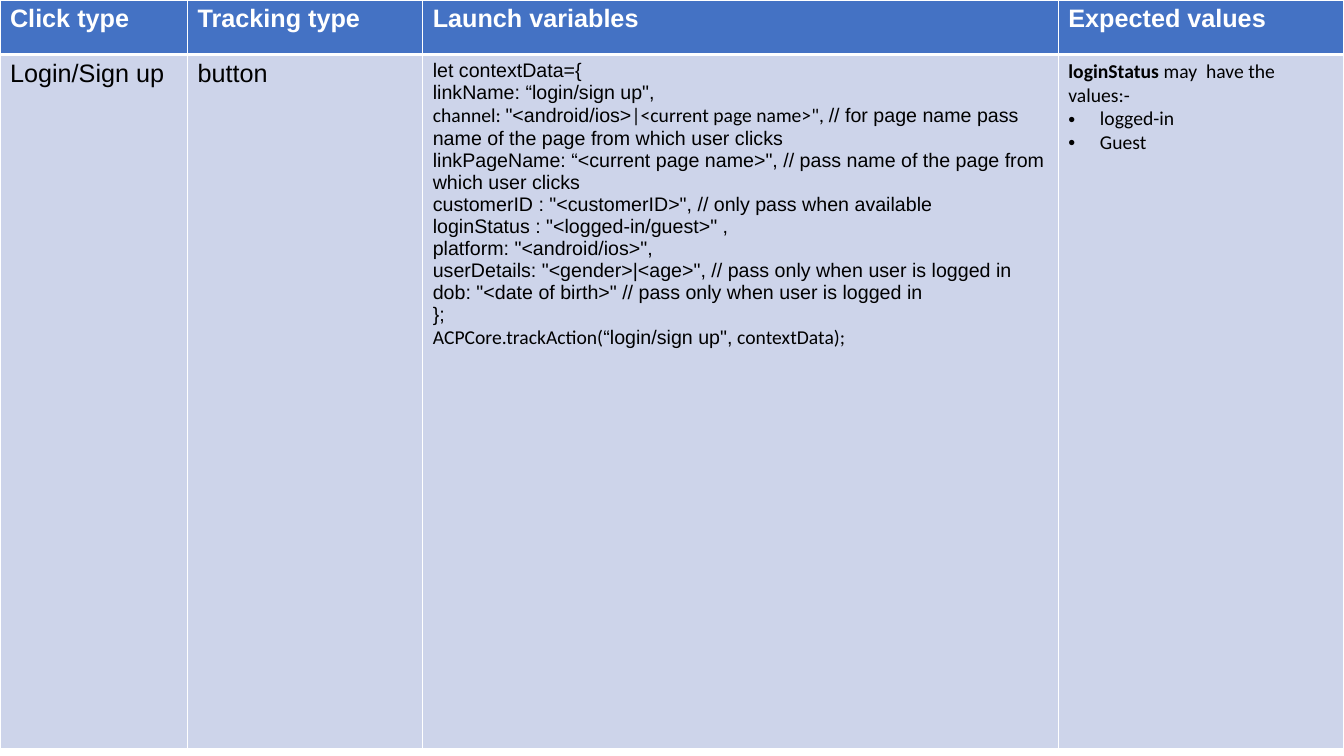
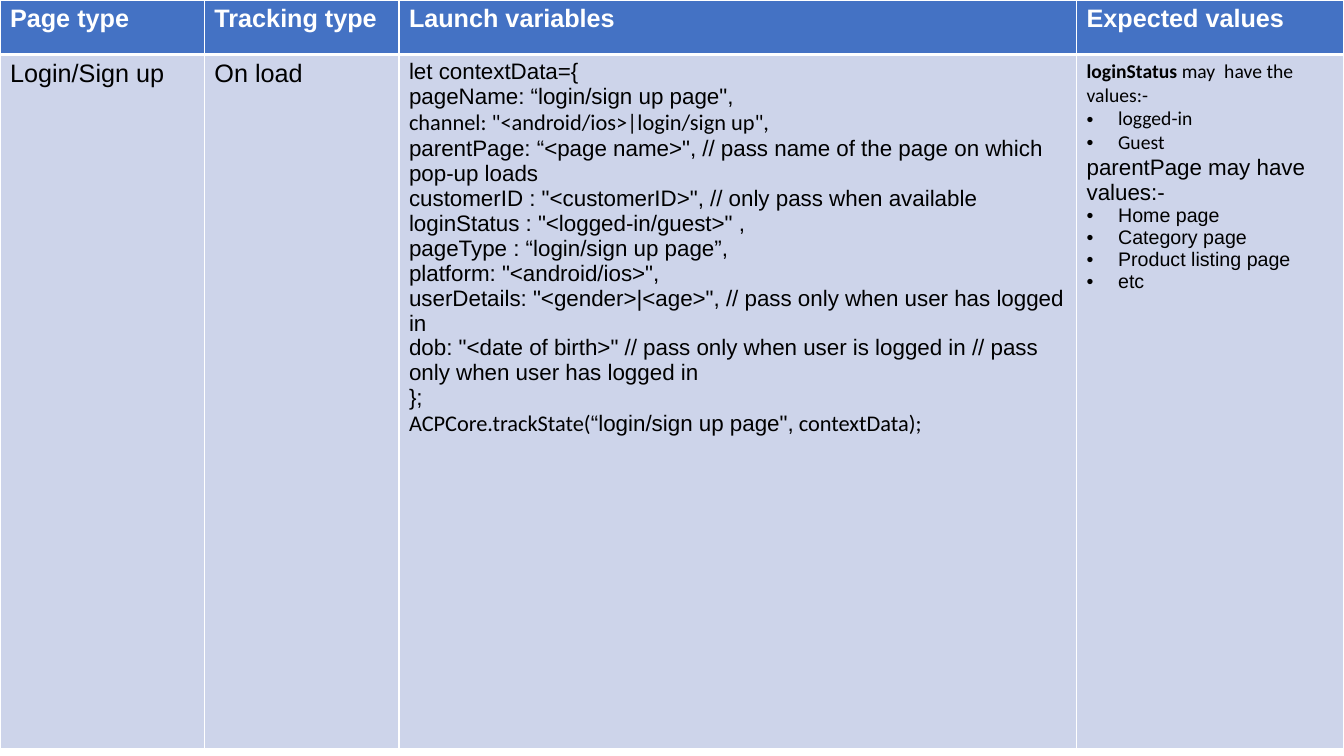
"""Build two slides of tracking tables for login and sign-up events."""
from lxml.etree import SubElement
from pptx import Presentation
from pptx.dml.color import RGBColor
from pptx.oxml.ns import qn
from pptx.util import Pt

WHITE = RGBColor(0xFF, 0xFF, 0xFF)
BLACK = RGBColor(0, 0, 0)
HEADER_BLUE = RGBColor(0x44, 0x72, 0xC4)
BODY_BLUE = RGBColor(0xCD, 0xD4, 0xEA)
ARIAL, CALIBRI = "Arial", "Calibri"
SLIDE_W, SLIDE_H = 960, 540
ROW_HEIGHTS = (39, 496)
BULLET_INDENT = 22.5
THIN, THICK = 1, 3


def line(*runs, size=14, bullet=False):
    """Describe a paragraph; a run is Arial text or a (text, font, bold) tuple."""
    full = [(r, ARIAL, False) if isinstance(r, str) else r for r in runs]
    return full, size, bullet


def calibri(text, bold=False):
    """Describe a Calibri run."""
    return text, CALIBRI, bold


def code(size, *lines):
    """Describe code lines, each a text or a tuple of runs."""
    return [line(*([ln] if isinstance(ln, str) else ln), size=size) for ln in lines]


def bullets(*runs):
    """Describe bulleted lines."""
    return [line(r, bullet=True) for r in runs]


def track_call(method, name):
    """Give the runs of the closing tracking call."""
    return calibri(f"ACPCore.{method}("), f'“{name}",', calibri(" contextData);")


LOGIN_STATUS = [
    line(calibri("loginStatus ", True), calibri("may  have the values:-")),
    *bullets(calibri("logged-in"), calibri("Guest")),
]

CLICK_CODE = code(
    14,
    "let contextData={",
    'linkName: “login/sign up",',
    (calibri("channel: "), '"<android/ios>', calibri('|<current page name>", '),
     "// for page name pass name of the page from which user clicks"),
    'linkPageName: “<current page name>", // pass name of the page from which user clicks',
    'customerID : "<customerID>", // only pass when available',
    'loginStatus : "<logged-in/guest>" ,',
    'platform: "<android/ios>",',
    'userDetails: "<gender>|<age>", // pass only when user is logged in',
    'dob: "<date of birth>" // pass only when user is logged in',
    "};",
    track_call("trackAction", "login/sign up"),
)

PAGE_CODE = code(
    16,
    "let contextData={",
    'pageName: “login/sign up page",',
    (calibri('channel: "<android/ios>|login/sign up",'),),
    'parentPage: “<page name>", // pass name of the page on which pop-up loads',
    'customerID : "<customerID>", // only pass when available',
    'loginStatus : "<logged-in/guest>" ,',
    "pageType : “login/sign up page”,",
    'platform: "<android/ios>",',
    'userDetails: "<gender>|<age>", // pass only when user has logged in',
    'dob: "<date of birth>" // pass only when user is logged in '
    "// pass only when user has logged in",
    "};",
    track_call("trackState", "login/sign up page"),
)

PARENT_PAGE = [
    line("parentPage may have values:-", size=16),
    *bullets("Home page", "Category page", "Product listing page", "etc"),
]


def add_bullet(p):
    """Give a paragraph a hanging bullet."""
    pPr = p._p.get_or_add_pPr()
    pPr.set("marL", str(Pt(BULLET_INDENT)))
    pPr.set("indent", str(-Pt(BULLET_INDENT)))
    color = SubElement(pPr, qn("a:buClr"))
    SubElement(color, qn("a:srgbClr"), val=str(BLACK))
    SubElement(pPr, qn("a:buFont"), typeface=ARIAL)
    SubElement(pPr, qn("a:buChar"), char="•")


def set_borders(cell, top, bottom):
    """Draw white borders around a cell."""
    tcPr = cell._tc.get_or_add_tcPr()
    for side, width in zip("LRTB", (THIN, THIN, top, bottom)):
        ln = SubElement(tcPr, qn(f"a:ln{side}"), w=str(Pt(width)))
        fill = SubElement(ln, qn("a:solidFill"))
        SubElement(fill, qn("a:srgbClr"), val=str(WHITE))


def fill_cell(cell, lines, header):
    """Style a cell and write its paragraphs."""
    set_borders(cell, *((THIN, THICK) if header else (THICK, THIN)))
    cell.fill.solid()
    cell.fill.fore_color.rgb = HEADER_BLUE if header else BODY_BLUE
    tf = cell.text_frame
    for i, (runs, size, bullet) in enumerate(lines):
        p = tf.paragraphs[0] if i == 0 else tf.add_paragraph()
        if bullet:
            add_bullet(p)
        for text, font, bold in runs:
            r = p.add_run()
            r.text = text
            r.font.name = font
            r.font.size = Pt(size)
            r.font.bold = header or bold
            r.font.color.rgb = WHITE if header else BLACK


def add_tracking_slide(prs, kind, tracking, widths, variables, values):
    """Add a slide filled by one tracking table."""
    s = prs.slides.add_slide(prs.slide_layouts[6])
    table = s.shapes.add_table(2, len(widths), Pt(0), Pt(0),
                               Pt(sum(widths)), Pt(sum(ROW_HEIGHTS))).table
    table.horz_banding = False
    for column, width in zip(table.columns, widths):
        column.width = Pt(width)
    for row, height in zip(table.rows, ROW_HEIGHTS):
        row.height = Pt(height)
    titles = (kind, "Tracking type", "Launch variables", "Expected values")
    header = [[line(title, size=18)] for title in titles]
    body = [[line("Login/Sign up", size=18)], [line(tracking, size=18)], variables, values]
    for i, row in enumerate((header, body)):
        for j, lines in enumerate(row):
            fill_cell(table.cell(i, j), lines, header=i == 0)


def main():
    """Build and save the presentation."""
    prs = Presentation()
    prs.slide_width, prs.slide_height = Pt(SLIDE_W), Pt(SLIDE_H)
    add_tracking_slide(prs, "Click type", "button", (134, 168, 454, 204),
                       CLICK_CODE, LOGIN_STATUS)
    add_tracking_slide(prs, "Page type", "On load", (146, 139, 484, 191),
                       PAGE_CODE, LOGIN_STATUS + PARENT_PAGE)
    prs.save("out.pptx")


if __name__ == "__main__":
    main()
